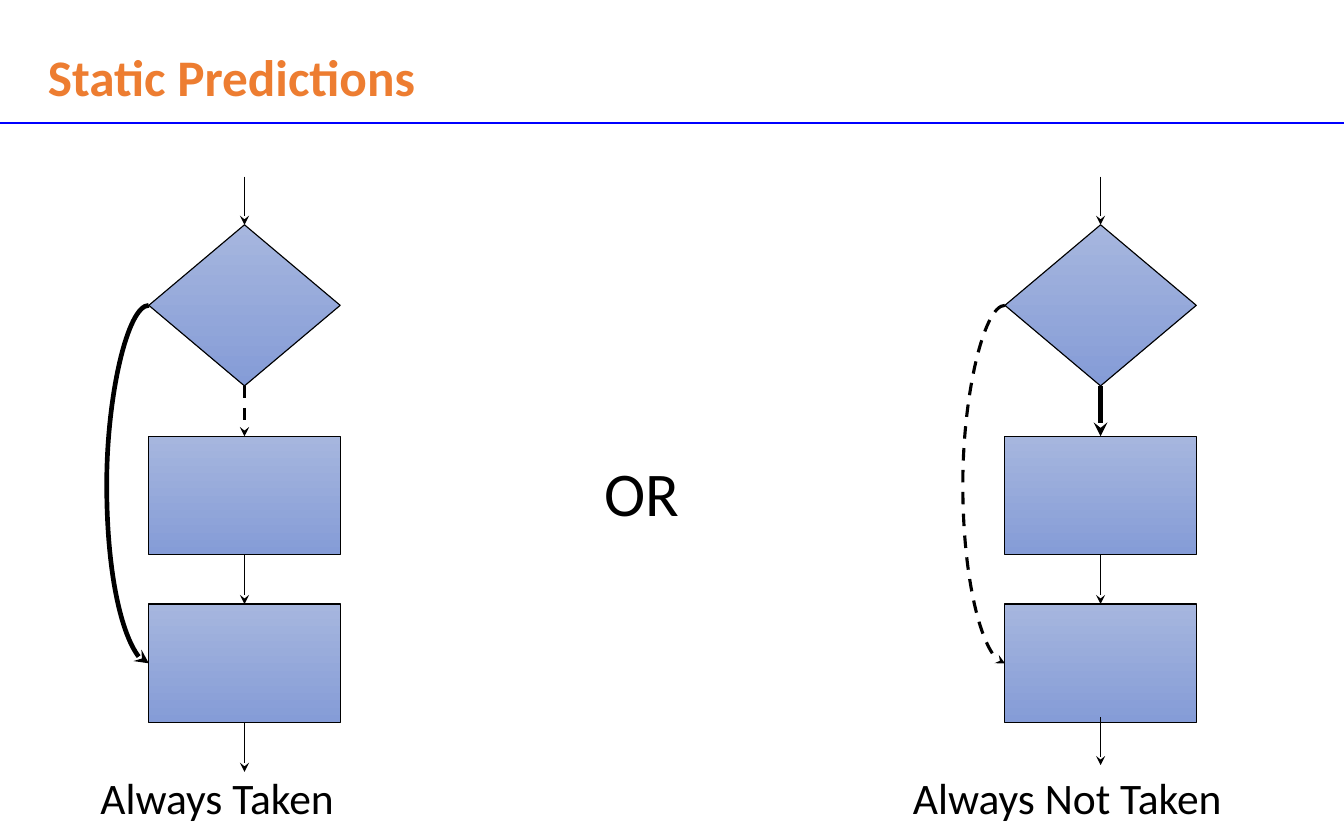
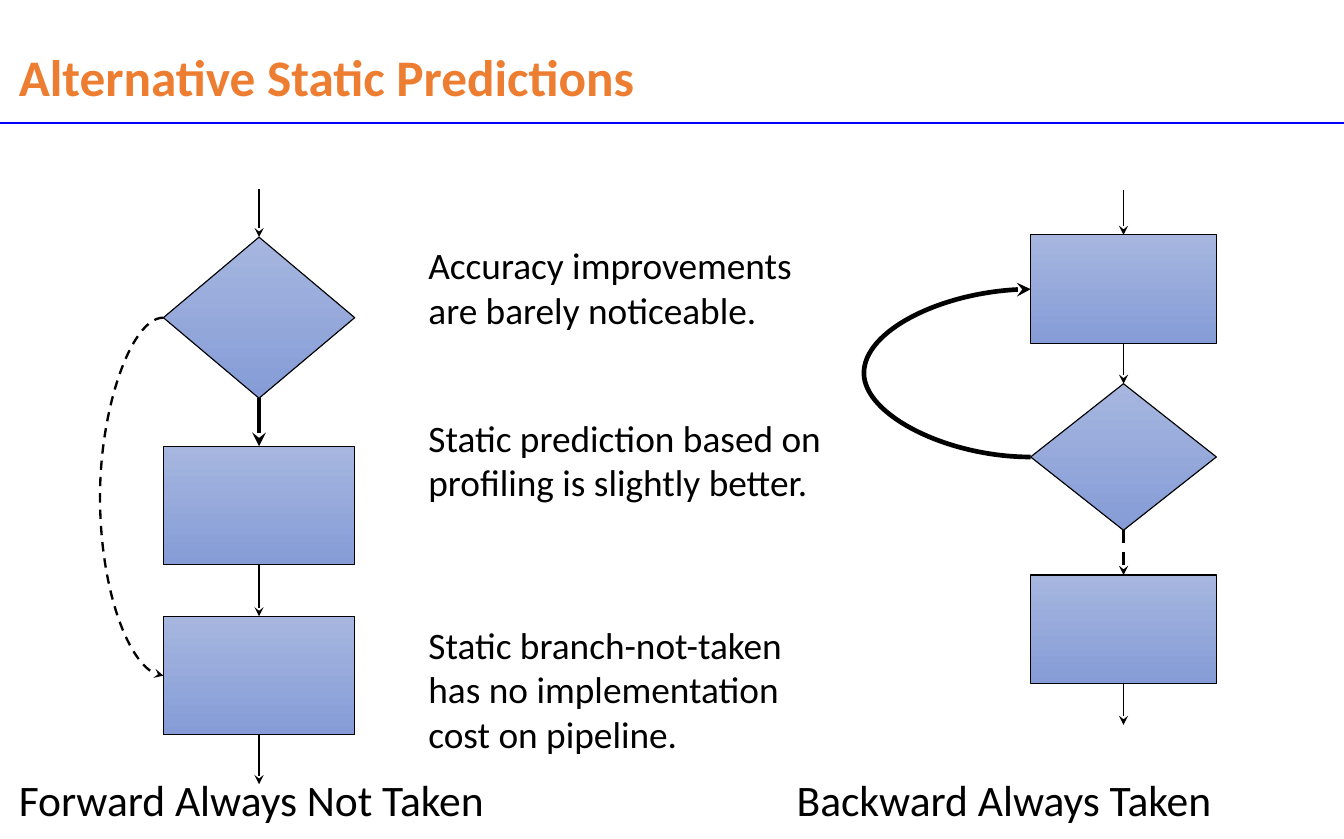
from itertools import pairwise

from lxml.etree import SubElement
from pptx import Presentation
from pptx.dml.color import RGBColor
from pptx.enum.dml import MSO_LINE
from pptx.enum.shapes import MSO_CONNECTOR, MSO_SHAPE
from pptx.enum.text import MSO_AUTO_SIZE
from pptx.oxml.ns import qn
from pptx.util import Emu, Inches, Pt

WIDTH, HEIGHT = Inches(12.01), Inches(7.5)
COL, ROW = WIDTH / 120.1, HEIGHT / 75
COLORS = {"title": "ED7D31", "rule": "0000FF", "ink": "000000",
          "node_top": "A6B6DE", "node_bottom": "859CD7"}
EDGES = {
    "thin": {"width": Pt(1)},
    "bold": {"width": Pt(3)},
    "dashed": {"width": Pt(2), "dash_style": MSO_LINE.DASH},
    "fine_dashed": {"width": Pt(1.5), "dash_style": MSO_LINE.DASH},
    "rule": {"width": Pt(0.75)},
}
CURVE_WIDTH = Emu(720)
TOP, BOTTOM = 0, 2
DIAMOND, BOX = MSO_SHAPE.DIAMOND, MSO_SHAPE.RECTANGLE
FORWARD_HEIGHTS = {DIAMOND: 14.4, BOX: 10.6}
BACKWARD_HEIGHTS = {DIAMOND: 13.1, BOX: 9.7}


def x(cols):
    """Convert grid columns to a length."""
    return Emu(round(cols * COL))


def y(rows):
    """Convert grid rows to a length."""
    return Emu(round(rows * ROW))


def rgb(name):
    """Look up a named colour."""
    return RGBColor.from_string(COLORS[name])


def assign(target, values):
    """Set each attribute in values on the target."""
    for name, value in values.items():
        setattr(target, name, value)


def add_text(s, left, top, width, height, lines, size=28, color="ink",
             bold=False, spacing=None, fit=MSO_AUTO_SIZE.SHAPE_TO_FIT_TEXT):
    """Add a text box with one paragraph per line."""
    tf = s.shapes.add_textbox(x(left), y(top), x(width), y(height)).text_frame
    assign(tf, {"word_wrap": True, "auto_size": fit})
    for i, line in enumerate(lines):
        p = tf.add_paragraph() if i else tf.paragraphs[0]
        p.line_spacing = spacing
        r = p.add_run()
        r.text = line
        assign(r.font, {"name": "Calibri", "size": Pt(size), "bold": bold})
        r.font.color.rgb = rgb(color)


def add_node(s, kind, left, top, width, height):
    """Add a flowchart node with a vertical gradient."""
    sp = s.shapes.add_shape(kind, x(left), y(top), x(width), y(height))
    sp.shadow.inherit = False
    sp.fill.gradient()
    sp.fill.gradient_angle = 270
    for stop, name in zip(sp.fill.gradient_stops, ("node_top", "node_bottom")):
        stop.color.rgb = rgb(name)
    sp.line.color.rgb = rgb("ink")
    sp.line.width = Pt(0.75)
    return sp


def add_edge(s, start, end, edge="thin", kind=MSO_CONNECTOR.STRAIGHT,
             color="ink", arrow=True):
    """Add a connector between two points given as lengths."""
    cxn = s.shapes.add_connector(kind, *start, *end)
    cxn.line.color.rgb = rgb(color)
    assign(cxn.line, EDGES[edge])
    sppr = cxn.element.spPr
    if arrow:
        SubElement(sppr.find(qn("a:ln")), qn("a:tailEnd"), type="stealth")
    SubElement(sppr, qn("a:effectLst"))
    return cxn


def add_branch(s, source, target, bulge, edge):
    """Add a curved arrow between the left corners of two nodes."""
    first, last = sorted(n.top + n.height // 2 for n in (source, target))
    cxn = add_edge(s, (source.left, first), (source.left + CURVE_WIDTH, last),
                   edge, MSO_CONNECTOR.CURVE)
    sppr = cxn.element.spPr
    adjust = round(-x(bulge) / CURVE_WIDTH * 100000)
    SubElement(sppr.find(qn("a:prstGeom")).find(qn("a:avLst")), qn("a:gd"),
               name="adj1", fmla=f"val {adjust}")
    if source.top > target.top:
        xfrm = sppr.find(qn("a:xfrm"))
        xfrm.set("rot", "10800000")
        xfrm.set("flipH", "1")


def add_flow(s, left, width, heights, nodes, links, entry, leave, branch):
    """Add a column of nodes with its arrows and one curved branch."""
    sps = [add_node(s, kind, left, top, width, heights[kind])
           for kind, top in nodes]
    mid = x(left + width / 2)
    for (a, b), edge in zip(pairwise(sps), links):
        cxn = add_edge(s, (mid, a.top + a.height), (mid, b.top), edge)
        cxn.begin_connect(a, BOTTOM)
        cxn.end_connect(b, TOP)
    add_edge(s, (mid, y(entry)), (mid, sps[0].top)).end_connect(sps[0], TOP)
    start, end = leave
    cxn = add_edge(s, (mid, y(start)), (mid, y(end)))
    if y(start) >= sps[-1].top + sps[-1].height:
        cxn.begin_connect(sps[-1], BOTTOM)
    source, target, bulge, edge = branch
    add_branch(s, sps[source], sps[target], bulge, edge)


def add_titled_slide(prs, title, left, width):
    """Add a blank slide with the shared rule and title."""
    s = prs.slides.add_slide(prs.slide_layouts[6])
    add_edge(s, (0, y(11)), (WIDTH, y(11)), "rule", color="rule", arrow=False)
    add_text(s, left, 4.2, width, 4.6, [title], 33, "title", True, 0.9,
             MSO_AUTO_SIZE.NONE)
    return s


def add_static_slide(prs):
    """Build the comparison of the two fixed predictions."""
    s = add_titled_slide(prs, "Static Predictions", 3.3, 69.2)
    nodes = [(DIAMOND, 20.1), (BOX, 39), (BOX, 54)]
    for left, taken, skipped, leave in (
            (13.3, "bold", "dashed", (64.6, 69)),
            (89.8, "dashed", "bold", (64.1, 68.4))):
        add_flow(s, left, 17.1, FORWARD_HEIGHTS, nodes, (skipped, "thin"),
                 15.8, leave, (0, 2, 3.76, taken))
    add_text(s, 8, 68.4, 27.7, 5.7, ["Always Taken"])
    add_text(s, 80.6, 68.4, 35.9, 5.7, ["Always Not Taken"])
    add_text(s, 53, 40.1, 10.6, 7.7, ["OR"], 40)


def add_alternative_slide(prs):
    """Build the forward and backward predictions with remarks."""
    s = add_titled_slide(prs, "Alternative Static Predictions", 0.7, 108.1)
    add_flow(s, 14.6, 17.1, FORWARD_HEIGHTS,
             [(DIAMOND, 21.2), (BOX, 39.9), (BOX, 55.1)], ("bold", "thin"),
             16.9, (65.8, 70.1), (0, 2, 5.66, "fine_dashed"))
    add_flow(s, 92.1, 16.6, BACKWARD_HEIGHTS,
             [(BOX, 21), (DIAMOND, 34.3), (BOX, 51.4)], ("thin", "dashed"),
             17, (61.2, 64.8), (1, 0, 14.9, "bold"))
    add_text(s, 0.7, 68.6, 52.9, 5.7, ["Forward Always Not Taken"])
    add_text(s, 70.2, 68.6, 48.5, 5.7, ["Backward Always Taken"])
    for top, width, height, lines in (
            (21.2, 41.8, 9.1,
             ["Accuracy improvements", "are barely noticeable."]),
            (36.6, 45, 9.1,
             ["Static prediction based on", "profiling is slightly better."]),
            (55.1, 40.7, 13.1,
             ["Static branch-not-taken", "has no implementation",
              "cost on pipeline."])):
        add_text(s, 37.3, top, width, height, lines, 24)


def main():
    """Build and save the presentation."""
    prs = Presentation()
    assign(prs, {"slide_width": WIDTH, "slide_height": HEIGHT})
    add_static_slide(prs)
    add_alternative_slide(prs)
    prs.save("out.pptx")


if __name__ == "__main__":
    main()
